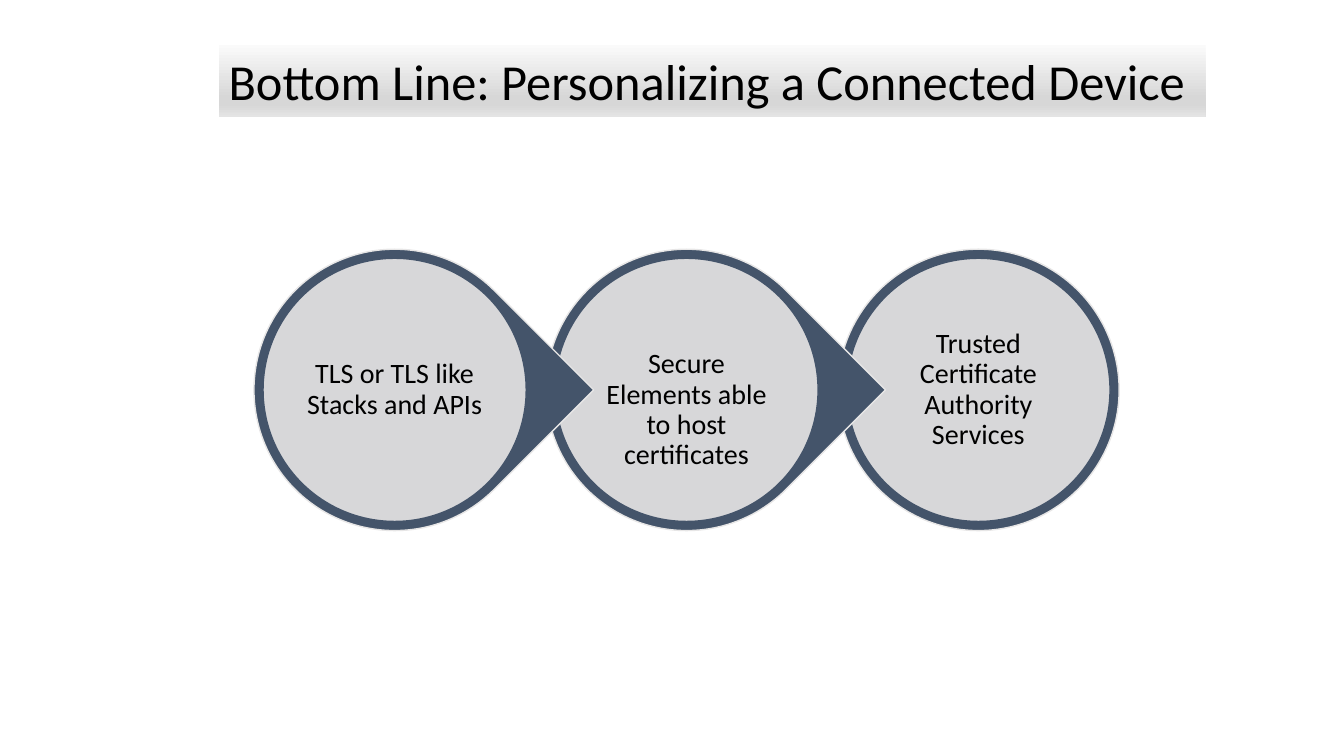
from lxml import etree
from pptx import Presentation
from pptx.dml.color import RGBColor
from pptx.enum import shapes, text
from pptx.oxml.ns import qn
from pptx.util import Pt

COLORS = {"navy": "44546A", "gray": "E7E6E6", "black": "000000"}
TITLE_STOPS = [(0, "FAFAFA"), (74, "D7D7D7"), (83, "D7D7D7"), (100, "E4E4E4")]

# Circle row, in points
FIRST_X, CENTER_Y, STEP = 281.9, 278.5, 208.5
OUTER, INNER, LABEL = 201, 188, 134.6
INSET = 2

# Label and extra top inset
STEPS = [
    ("TLS or TLS like Stacks and APIs", 0),
    ("Secure Elements able to host certificates", 29),
    ("Trusted Certificate Authority Services", 0),
]


def rgb(name):
    return RGBColor.from_string(COLORS[name])


def write(sp, content, size, align=text.PP_ALIGN.LEFT,
          anchor=text.MSO_ANCHOR.TOP, wrap=True, inset=None, extra_top=0,
          line_spacing=None):
    tf = sp.text_frame
    tf.word_wrap = wrap
    tf.vertical_anchor = anchor
    if inset is not None:
        tf.margin_left = tf.margin_right = tf.margin_bottom = Pt(inset)
        tf.margin_top = Pt(inset + extra_top)
    p = tf.paragraphs[0]
    p.alignment = align
    p.line_spacing = line_spacing
    r = p.add_run()
    r.text = content
    r.font.name = "Calibri"
    r.font.size = Pt(size)
    r.font.color.rgb = rgb("black")


def centered(cx, cy, size):
    return Pt(cx - size / 2), Pt(cy - size / 2), Pt(size), Pt(size)


def add_round(s, kind, cx, size, fill, line, rotation=0, alpha=None):
    sp = s.shapes.add_shape(kind, *centered(cx, CENTER_Y, size))
    sp.shadow.inherit = False
    sp.rotation = rotation
    sp.fill.solid()
    sp.fill.fore_color.rgb = rgb(fill)
    sp.line.color.rgb = rgb(line)
    sp.line.width = Pt(1)
    if alpha is not None:
        color = sp._element.spPr.find(qn("a:solidFill"))[0]
        etree.SubElement(color, qn("a:alpha"), val=str(alpha * 1000))


def add_title(s, content):
    sp = s.shapes.add_shape(shapes.MSO_SHAPE.RECTANGLE,
                            Pt(156.2), Pt(32.4), Pt(705), Pt(51))
    sp.shadow.inherit = False
    sp.line.fill.background()
    sp.fill.gradient()
    sp.fill.gradient_angle = 270  # counter-clockwise: light at the top
    stops = sp._element.spPr.find(qn("a:gradFill")).find(qn("a:gsLst"))
    for old in list(stops):
        stops.remove(old)
    for position, color in TITLE_STOPS:
        stop = etree.SubElement(stops, qn("a:gs"), pos=str(position * 1000))
        etree.SubElement(stop, qn("a:srgbClr"), val=color)
    write(sp, content, 36, wrap=False)


def add_step(s, cx, label, extra_top, is_last):
    if is_last:
        add_round(s, shapes.MSO_SHAPE.OVAL, cx, OUTER, "navy", "gray")
    else:
        add_round(s, shapes.MSO_SHAPE.TEAR, cx, OUTER, "navy", "gray",
                  rotation=45)
    add_round(s, shapes.MSO_SHAPE.OVAL, cx, INNER, "gray", "navy", alpha=90)
    box = s.shapes.add_textbox(*centered(cx, CENTER_Y, LABEL))
    write(box, label, 20, align=text.PP_ALIGN.CENTER,
          anchor=text.MSO_ANCHOR.MIDDLE, inset=INSET, extra_top=extra_top,
          line_spacing=0.9)


def main():
    prs = Presentation()
    prs.slide_width, prs.slide_height = Pt(960), Pt(540)
    s = prs.slides.add_slide(prs.slide_layouts[6])

    add_title(s, "Bottom Line: Personalizing a Connected Device")

    # Right to left, so each point overlaps the next circle
    last = len(STEPS) - 1
    for i in range(last, -1, -1):
        label, extra_top = STEPS[i]
        add_step(s, FIRST_X + i * STEP, label, extra_top, i == last)

    prs.save("out.pptx")


if __name__ == "__main__":
    main()
